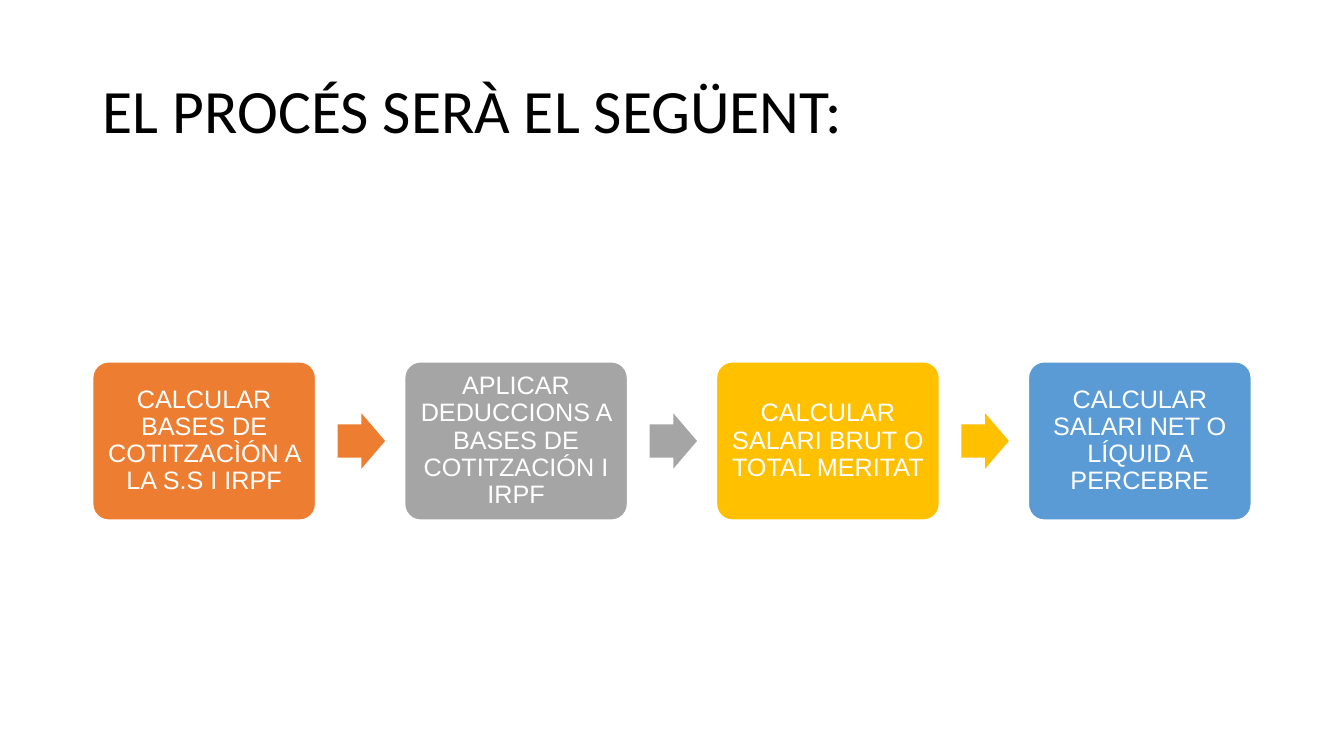
from dataclasses import dataclass
from pptx import Presentation
from pptx.dml.color import RGBColor as RGB
from pptx.enum.shapes import MSO_SHAPE as Shape
from pptx.enum.text import MSO_ANCHOR as Anchor, PP_ALIGN as Align
from pptx.util import Inches, Pt


@dataclass(frozen=True)
class Theme:
    black: str = "000000"
    white: str = "FFFFFF"
    orange: str = "ED7D31"
    gray: str = "A5A5A5"
    gold: str = "FFC000"
    blue: str = "5B9BD5"
    head: str = "Calibri"
    body: str = "Arial"
    big: int = 44
    small: int = 18


T = Theme()
TITLE = "EL PROCÉS SERÀ EL SEGÜENT:"
STEPS = [
    ("CALCULAR BASES DE COTITZACÌÓN A LA S.S I IRPF", T.orange),
    ("APLICAR DEDUCCIONS A BASES DE COTITZACIÓN I IRPF", T.gray),
    ("CALCULAR SALARI BRUT O TOTAL MERITAT", T.gold),
    ("CALCULAR SALARI NET O LÍQUID A PERCEBRE", T.blue),
]


def write(shape, text, *, font, size, color, align, pad=(0.1, 0.05)):
    frame = shape.text_frame
    frame.word_wrap = True
    frame.vertical_anchor = Anchor.MIDDLE
    frame.margin_left = frame.margin_right = Inches(pad[0])
    frame.margin_top = frame.margin_bottom = Inches(pad[1])
    para = frame.paragraphs[0]
    para.alignment = align
    para.line_spacing = 0.9
    run = para.add_run()
    run.text = text
    run.font.name = font
    run.font.size = Pt(size)
    run.font.color.rgb = RGB.from_string(color)


def block(slide, kind, box, fill, adjust):
    shape = slide.shapes.add_shape(kind, *map(Inches, box))
    shape.shadow.inherit = False
    shape.fill.solid()
    shape.fill.fore_color.rgb = RGB.from_string(fill)
    shape.line.fill.background()
    for i, value in enumerate(adjust):
        shape.adjustments[i] = value
    return shape


# Heading
def heading(slide, box):
    title = slide.shapes.title
    title.left, title.top, title.width, title.height = map(Inches, box)
    write(title, TITLE, font=T.head, size=T.big, color=T.black,
          align=Align.LEFT)


# Row of steps with an arrow in each gap
def process(slide, box):
    left, top, width, height = box
    card_w, arrow_w, arrow_h = 2.21, 0.47, 0.55
    pitch = (width - card_w) / (len(STEPS) - 1)
    for i, (text, color) in enumerate(STEPS):
        x = left + i * pitch
        card = block(slide, Shape.ROUNDED_RECTANGLE,
                     (x, top, card_w, height), color, [0.1])
        card.line.color.rgb = RGB.from_string(T.white)
        card.line.width = Pt(1)
        write(card, text, font=T.body, size=T.small, color=T.white,
              align=Align.CENTER, pad=(0.07, 0.07))
        if i < len(STEPS) - 1:
            spot = (x + card_w + 0.22, top + (height - arrow_h) / 2,
                    arrow_w, arrow_h)
            block(slide, Shape.RIGHT_ARROW, spot, color, [0.6, 0.5])


def main():
    deck = Presentation()
    deck.slide_width, deck.slide_height = Inches(13.33), Inches(7.5)
    slide = deck.slides.add_slide(deck.slide_layouts[5])
    heading(slide, (0.92, 0.4, 11.5, 1.45))
    process(slide, (0.92, 3.59, 11.49, 1.57))
    deck.save("out.pptx")


if __name__ == "__main__":
    main()
